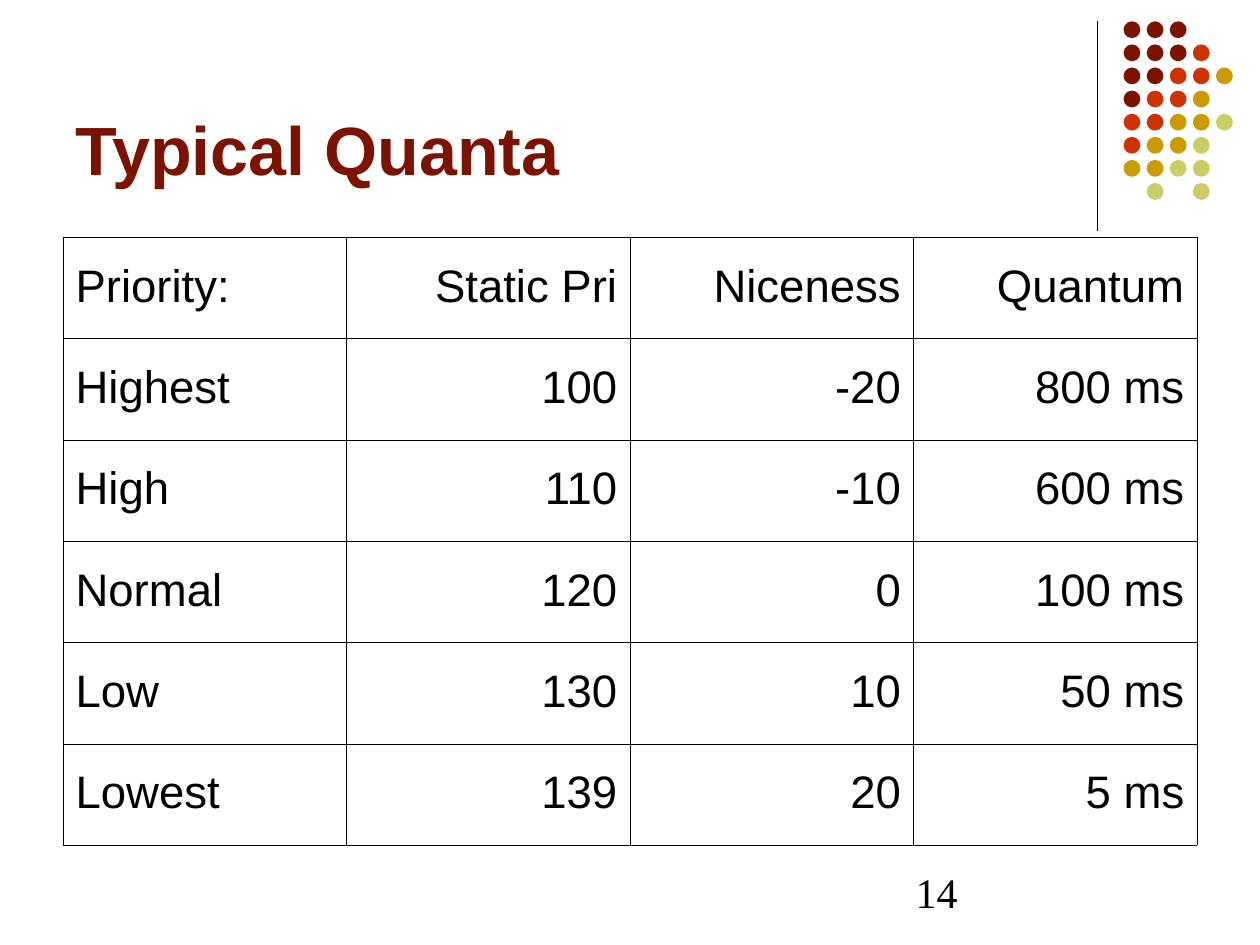
from dataclasses import dataclass

from lxml.etree import SubElement
from pptx import Presentation
from pptx.dml.color import RGBColor
from pptx.enum.shapes import MSO_CONNECTOR, MSO_SHAPE
from pptx.enum.text import MSO_ANCHOR, MSO_AUTO_SIZE, PP_ALIGN
from pptx.oxml.ns import qn
from pptx.slide import Slide
from pptx.text.text import TextFrame
from pptx.util import Cm, Pt


@dataclass(frozen=True)
class Theme:
    maroon: str = "7C1302"
    red: str = "CC3300"
    gold: str = "CC9900"
    olive: str = "CCCC66"
    black: str = "000000"
    sans: str = "Arial"
    serif: str = "Times New Roman"
    title_size: float = 39
    table_size: float = 26
    number_size: float = 24
    rule_width: float = 0.75
    inner_border: float = 0.11
    outer_border: float = 0.23


@dataclass(frozen=True)
class Box:
    left: float
    top: float
    width: float
    height: float

    def lengths(self) -> tuple:
        return Cm(self.left), Cm(self.top), Cm(self.width), Cm(self.height)


@dataclass(frozen=True)
class TextStyle:
    name: str
    size: float
    color: str
    bold: bool = False
    alignment: PP_ALIGN = PP_ALIGN.LEFT
    line_spacing: float = 1.0


@dataclass(frozen=True)
class DotPattern:
    left: float
    top: float
    pitch: float
    diameter: float
    rows: tuple


THEME = Theme()
TITLE_BOX = Box(1.27, 0.33, 20.96, 3.61)
TABLE_BOX = Box(1.27, 4.78, 22.86, 12.26)
NUMBER_BOX = Box(18.21, 17.35, 5.92, 1.27)
RULE_BOX = Box(22.12, 0.42, 0, 4.24)
DOT_COLORS = {"M": THEME.maroon, "R": THEME.red, "G": THEME.gold, "O": THEME.olive}
DOTS = DotPattern(22.65, 0.43, 3.26 / 7, 0.34, (
    "MMM", "MMMR", "MMRRG", "MRRG", "RRGGO", "RGGO", "GGOO", " O O",
))
QUANTA = (
    ("Priority:", "Static Pri", "Niceness", "Quantum"),
    ("Highest", "100", "-20", "800 ms"),
    ("High", "110", "-10", "600 ms"),
    ("Normal", "120", "0", "100 ms"),
    ("Low", "130", "10", "50 ms"),
    ("Lowest", "139", "20", "5 ms"),
)


def set_attributes(target, values: dict) -> None:
    for name, value in values.items():
        setattr(target, name, value)


def write_text(text_frame: TextFrame, text: str, style: TextStyle) -> None:
    paragraph = text_frame.paragraphs[0]
    set_attributes(paragraph, {
        "alignment": style.alignment,
        "line_spacing": style.line_spacing,
        "space_before": Pt(0),
    })
    run = paragraph.add_run()
    run.text = text
    set_attributes(run.font, {"name": style.name, "size": Pt(style.size), "bold": style.bold})
    run.font.color.rgb = RGBColor.from_string(style.color)


def draw_rule(slide: Slide, box: Box) -> None:
    left, top, width, height = box.lengths()
    rule = slide.shapes.add_connector(
        MSO_CONNECTOR.STRAIGHT, left, top, left + width, top + height)
    rule.line.color.rgb = RGBColor.from_string(THEME.black)
    rule.line.width = Pt(THEME.rule_width)
    SubElement(rule.element.spPr, qn("a:effectLst"))


def draw_dots(slide: Slide, pattern: DotPattern) -> None:
    group = slide.shapes.add_group_shape()
    for row_index, row in enumerate(pattern.rows):
        for column_index, key in enumerate(row):
            if key not in DOT_COLORS:
                continue
            box = Box(pattern.left + column_index * pattern.pitch,
                      pattern.top + row_index * pattern.pitch,
                      pattern.diameter, pattern.diameter)
            dot = group.shapes.add_shape(MSO_SHAPE.OVAL, *box.lengths())
            dot.shadow.inherit = False
            dot.fill.solid()
            dot.fill.fore_color.rgb = RGBColor.from_string(DOT_COLORS[key])
            dot.line.fill.background()


def draw_title(slide: Slide, box: Box, text: str) -> None:
    title = slide.shapes.title
    set_attributes(title, dict(zip(("left", "top", "width", "height"), box.lengths())))
    set_attributes(title.text_frame, {
        "word_wrap": True,
        "auto_size": MSO_AUTO_SIZE.NONE,
        "vertical_anchor": MSO_ANCHOR.BOTTOM,
    })
    write_text(title.text_frame, text,
               TextStyle(THEME.sans, THEME.title_size, THEME.maroon, bold=True))


def draw_border(cell, side: str, width: float) -> None:
    properties = cell._tc.get_or_add_tcPr()
    line = SubElement(properties, qn(f"a:{side}"), w=str(int(Pt(width))))
    fill = SubElement(line, qn("a:solidFill"))
    SubElement(fill, qn("a:srgbClr"), val=THEME.black)


def draw_table(slide: Slide, box: Box, rows: tuple) -> None:
    row_count, column_count = len(rows), len(rows[0])
    table = slide.shapes.add_table(row_count, column_count, *box.lengths()).table
    set_attributes(table, {"first_row": False, "horz_banding": False})
    for column in table.columns:
        column.width = Cm(box.width / column_count)
    for row in table.rows:
        row.height = Cm(box.height / row_count)
    for row_index, row in enumerate(rows):
        for column_index, text in enumerate(row):
            cell = table.cell(row_index, column_index)
            cell.vertical_anchor = MSO_ANCHOR.MIDDLE
            outer_sides = {
                "lnL": column_index == 0,
                "lnR": column_index == column_count - 1,
                "lnT": row_index == 0,
                "lnB": row_index == row_count - 1,
            }
            for side, is_outer in outer_sides.items():
                draw_border(cell, side, THEME.outer_border if is_outer else THEME.inner_border)
            cell.fill.background()
            alignment = PP_ALIGN.RIGHT if column_index else PP_ALIGN.LEFT
            write_text(cell.text_frame, text,
                       TextStyle(THEME.sans, THEME.table_size, THEME.black,
                                 alignment=alignment, line_spacing=0.93))


def draw_slide_number(slide: Slide, box: Box, number: str) -> None:
    text_frame = slide.shapes.add_textbox(*box.lengths()).text_frame
    text_frame.word_wrap = True
    write_text(text_frame, number, TextStyle(THEME.serif, THEME.number_size, THEME.black))


def main() -> None:
    presentation = Presentation()
    set_attributes(presentation, {"slide_width": Cm(25.4), "slide_height": Cm(19.05)})
    slide = presentation.slides.add_slide(presentation.slide_layouts.get_by_name("Title Only"))
    draw_rule(slide, RULE_BOX)
    draw_dots(slide, DOTS)
    draw_title(slide, TITLE_BOX, "Typical Quanta")
    draw_table(slide, TABLE_BOX, QUANTA)
    draw_slide_number(slide, NUMBER_BOX, "14")
    presentation.save("out.pptx")


if __name__ == "__main__":
    main()
